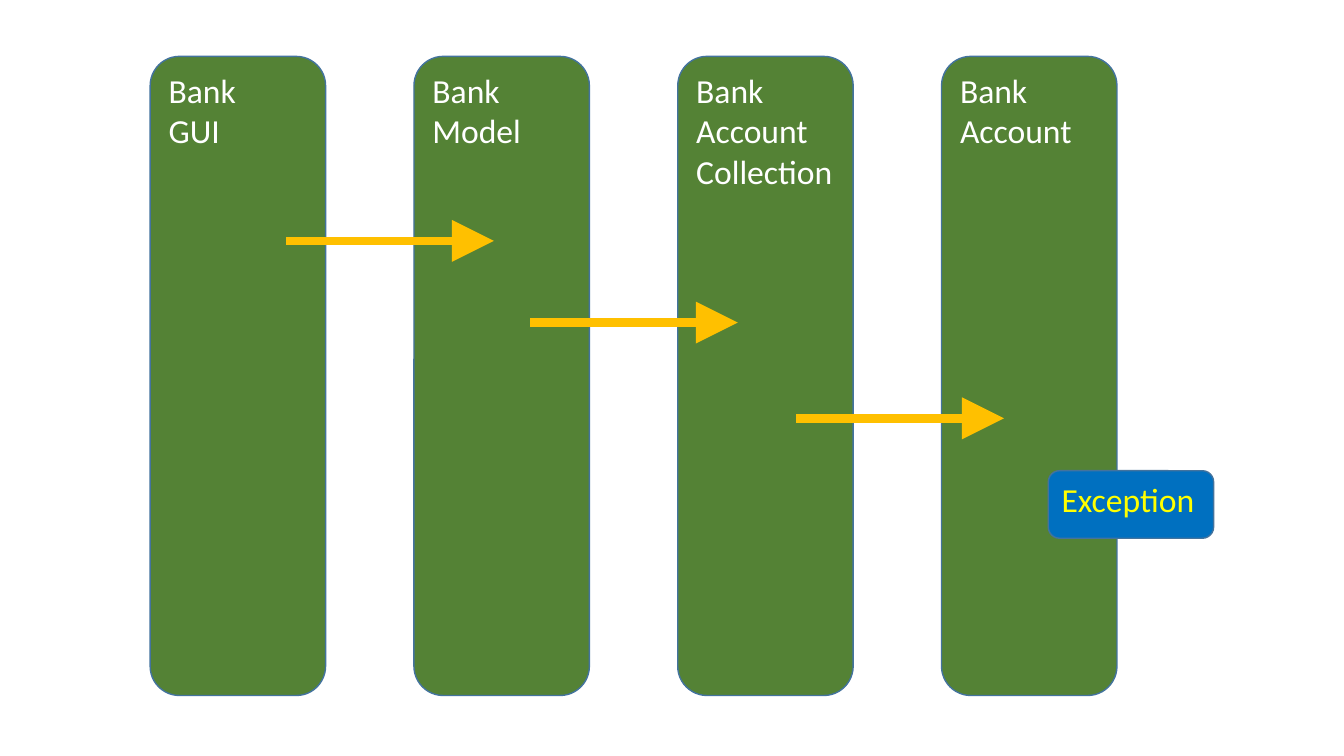
import pptx
import pptx.util
import pptx.dml.color
import pptx.enum.shapes
import pptx.enum.text
import pptx.oxml.ns
from lxml import etree

GREEN = pptx.dml.color.RGBColor(0x54, 0x82, 0x35)
BLUE = pptx.dml.color.RGBColor(0x00, 0x70, 0xC0)
OUTLINE = pptx.dml.color.RGBColor(0x43, 0x73, 0x9E)
AMBER = pptx.dml.color.RGBColor(0xFF, 0xC0, 0x00)
WHITE = pptx.dml.color.RGBColor(0xFF, 0xFF, 0xFF)
YELLOW = pptx.dml.color.RGBColor(0xFF, 0xFF, 0x00)

Inches = pptx.util.Inches
LANE_LEFT, LANE_TOP = 1.49, 0.56
LANE_WIDTH, LANE_HEIGHT = 1.74, 6.34
LANE_PITCH = 2.617
CALL_LENGTH = 2.06

deck = pptx.Presentation()
deck.slide_width = Inches(13.333)
deck.slide_height = Inches(7.5)
page = deck.slides.add_slide(deck.slide_layouts[6])


def add_box(left, top, width, height, text, fill, color):
    box = page.shapes.add_shape(
        pptx.enum.shapes.MSO_SHAPE.ROUNDED_RECTANGLE,
        Inches(left), Inches(top), Inches(width), Inches(height))
    box.shadow.inherit = False
    box.fill.solid()
    box.fill.fore_color.rgb = fill
    box.line.color.rgb = OUTLINE
    box.line.width = pptx.util.Pt(1)
    frame = box.text_frame
    frame.word_wrap = True
    frame.vertical_anchor = pptx.enum.text.MSO_ANCHOR.TOP
    frame.text = text
    for para in frame.paragraphs:
        para.alignment = pptx.enum.text.PP_ALIGN.LEFT
        for span in para.runs:
            span.font.name = "Calibri"
            span.font.size = pptx.util.Pt(24)
            span.font.color.rgb = color


lanes = ["Bank\nGUI", "Bank\nModel", "Bank\nAccount\nCollection", "Bank\nAccount"]
for column, name in enumerate(lanes):
    add_box(LANE_LEFT + column * LANE_PITCH, LANE_TOP, LANE_WIDTH, LANE_HEIGHT,
            name, GREEN, WHITE)

for start, level in [(2.84, 2.39), (5.26, 3.2), (7.9, 4.15)]:
    call = page.shapes.add_connector(
        pptx.enum.shapes.MSO_CONNECTOR.STRAIGHT,
        Inches(start), Inches(level), Inches(start + CALL_LENGTH), Inches(level))
    call.line.color.rgb = AMBER
    call.line.width = pptx.util.Pt(6)
    etree.SubElement(call.line._get_or_add_ln(), pptx.oxml.ns.qn("a:tailEnd"),
                     type="triangle", w="lg", len="lg")
    etree.SubElement(call._element.spPr, pptx.oxml.ns.qn("a:effectLst"))

add_box(10.4, 4.67, 1.64, 0.67, "Exception", BLUE, YELLOW)

deck.save("out.pptx")
